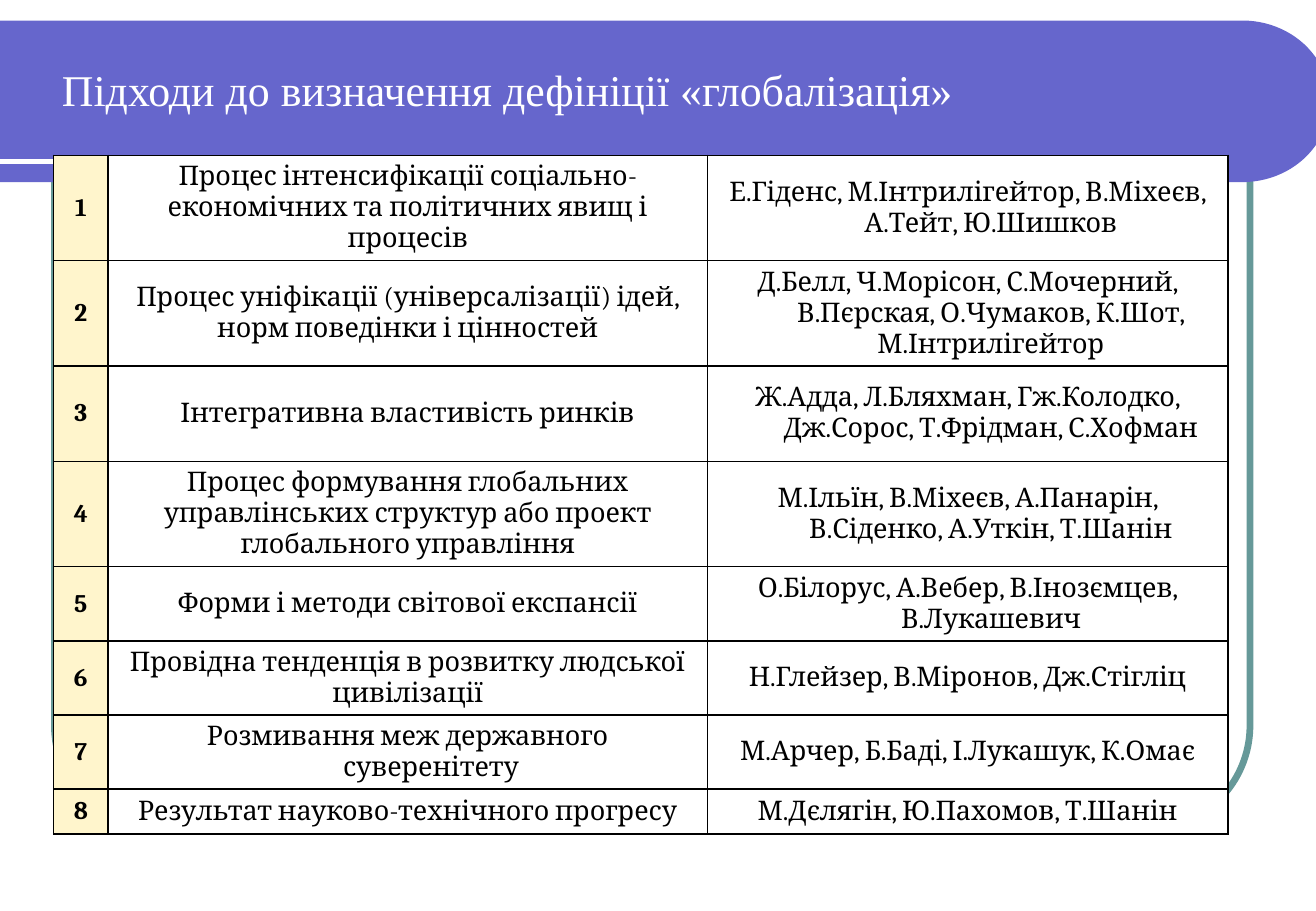
"""Build a slide with a table of approaches to defining globalisation."""
from math import cos, pi, sin

from lxml.etree import SubElement
from pptx import Presentation
from pptx.dml.color import RGBColor
from pptx.enum.shapes import MSO_CONNECTOR as Connector, MSO_SHAPE as Preset
from pptx.enum.text import MSO_ANCHOR as Anchor, MSO_AUTO_SIZE as AutoSize, PP_ALIGN as Align
from pptx.oxml.ns import qn
from pptx.util import Cm, Pt

TITLE = "Підходи до визначення дефініції «глобалізація»"
APPROACHES = [
    ("Процес інтенсифікації соціально-економічних та політичних явищ і процесів",
     "Е.Гіденс, М.Інтрилігейтор, В.Міхеєв, А.Тейт, Ю.Шишков"),
    ("Процес уніфікації (універсалізації) ідей, норм поведінки і цінностей",
     "Д.Белл, Ч.Морісон, С.Мочерний, В.Пєрская, О.Чумаков, К.Шот, М.Інтрилігейтор"),
    ("Інтегративна властивість ринків",
     "Ж.Адда, Л.Бляхман, Гж.Колодко, Дж.Сорос, Т.Фрідман, С.Хофман"),
    ("Процес формування глобальних управлінських структур або проект глобального управління",
     "М.Ільїн, В.Міхеєв, А.Панарін, В.Сіденко, А.Уткін, Т.Шанін"),
    ("Форми і методи світової експансії",
     "О.Білорус, А.Вебер, В.Інозємцев, В.Лукашевич"),
    ("Провідна тенденція в розвитку людської цивілізації",
     "Н.Глейзер, В.Міронов, Дж.Стігліц"),
    ("Розмивання меж державного суверенітету",
     "М.Арчер, Б.Баді, І.Лукашук, К.Омає"),
    ("Результат науково-технічного прогресу",
     "М.Дєлягін, Ю.Пахомов, Т.Шанін"),
]
HANGING_APPROACHES = {3, 5, 7, 8}
COLUMN_WIDTHS = [1.14, 12.54, 10.88]
ROW_HEIGHTS = [2.2, 2.2, 2, 2.2, 1.55, 1.55, 1.55, 0.94]
HANGING = Cm(0.97)
TAB_STOP = Cm(5.64)
BAND_TOP, BAND_BOTTOM = 0.43, 3.81
BAND_ARC_X, BAND_ARC_WIDTH = 25.98, 1.83
ARC_STEPS = 48
PURPLE, TEAL, CREAM, WHITE, BLACK = "6666CC", "669999", "FFF5CC", "FFFFFF", "000000"


def color(code):
    return RGBColor.from_string(code)


def paint(fill, code):
    fill.solid()
    fill.fore_color.rgb = color(code)


def add_frame(page):
    frame = page.shapes.add_shape(Preset.ROUNDED_RECTANGLE, Cm(1.14), Cm(1.47), Cm(25), Cm(15.88))
    frame.adjustments[0] = 0.137
    frame.shadow.inherit = False
    frame.fill.background()
    frame.line.color.rgb = color(TEAL)
    frame.line.width = Pt(4)


def add_band(page):
    radius = (BAND_BOTTOM - BAND_TOP) / 2
    angles = [pi * step / ARC_STEPS - pi / 2 for step in range(ARC_STEPS + 1)]
    arc = [(Cm(BAND_ARC_X + BAND_ARC_WIDTH * cos(angle)),
            Cm(BAND_TOP + radius + radius * sin(angle))) for angle in angles]
    outline = page.shapes.build_freeform(Cm(0), Cm(BAND_TOP))
    outline.add_line_segments(arc + [(Cm(0), Cm(BAND_BOTTOM))], close=True)
    band = outline.convert_to_shape()
    band.shadow.inherit = False
    paint(band.fill, PURPLE)
    band.line.fill.background()


def add_rule(page):
    rule = page.shapes.add_connector(Connector.STRAIGHT, Cm(0), Cm(3.38), Cm(24.31), Cm(3.38))
    rule.line.color.rgb = color(WHITE)
    rule.line.width = Pt(3)
    SubElement(rule.element.spPr, qn("a:effectLst"))
    return rule


def format_title(title):
    title.left, title.top, title.width, title.height = Cm(1.04), Cm(0.84), Cm(22.66), Cm(1.7)
    box = title.text_frame
    box.text = TITLE
    box.auto_size = AutoSize.NONE
    box.vertical_anchor = Anchor.BOTTOM
    para = box.paragraphs[0]
    para.alignment = Align.LEFT
    para.font.name = "Times New Roman"
    para.font.size = Pt(26)
    para.font.color.rgb = color(WHITE)


def add_borders(cell):
    properties = cell._tc.get_or_add_tcPr()
    for place, side in enumerate(("a:lnL", "a:lnR", "a:lnT", "a:lnB")):
        border = SubElement(properties, qn(side), w=str(Pt(1)))
        SubElement(SubElement(border, qn("a:solidFill")), qn("a:srgbClr"), val=BLACK)
        properties.insert(place, border)


def fill_cell(cell, text, is_number, hangs):
    cell.text = text
    cell.vertical_anchor = Anchor.MIDDLE
    paint(cell.fill, CREAM if is_number else WHITE)
    add_borders(cell)
    para = cell.text_frame.paragraphs[0]
    para.alignment = Align.CENTER
    para.font.name = "Cambria"
    para.font.size = Pt(15 if is_number else 16)
    para.font.bold = is_number
    para.font.color.rgb = color(BLACK)
    layout = para._p.get_or_add_pPr()
    if hangs:
        layout.set("marL", str(HANGING))
        layout.set("indent", str(-HANGING))
    stops = layout.makeelement(qn("a:tabLst"))
    SubElement(stops, qn("a:tab"), pos=str(TAB_STOP), algn="l")
    layout.insert(0, stops)


def add_approaches(page):
    table = page.shapes.add_table(
        len(APPROACHES), len(COLUMN_WIDTHS), Cm(1.12), Cm(3.25),
        Cm(sum(COLUMN_WIDTHS)), Cm(sum(ROW_HEIGHTS))).table
    table.first_row = table.horz_banding = False
    for column, width in zip(table.columns, COLUMN_WIDTHS):
        column.width = Cm(width)
    for row, height in zip(table.rows, ROW_HEIGHTS):
        row.height = Cm(height)
    for number, (approach, authors) in enumerate(APPROACHES, 1):
        for column, text in enumerate((str(number), approach, authors)):
            hangs = column != 1 or number in HANGING_APPROACHES
            fill_cell(table.cell(number - 1, column), text, column == 0, hangs)


def main():
    deck = Presentation()
    deck.slide_width, deck.slide_height = Cm(27.52), Cm(19.05)
    page = deck.slides.add_slide(deck.slide_layouts[5])
    paint(page.background.fill, WHITE)
    add_frame(page)
    add_band(page)
    rule = add_rule(page)
    title = page.shapes.title
    format_title(title)
    rule.element.addnext(title.element)
    add_approaches(page)
    deck.save("out.pptx")


if __name__ == "__main__":
    main()
